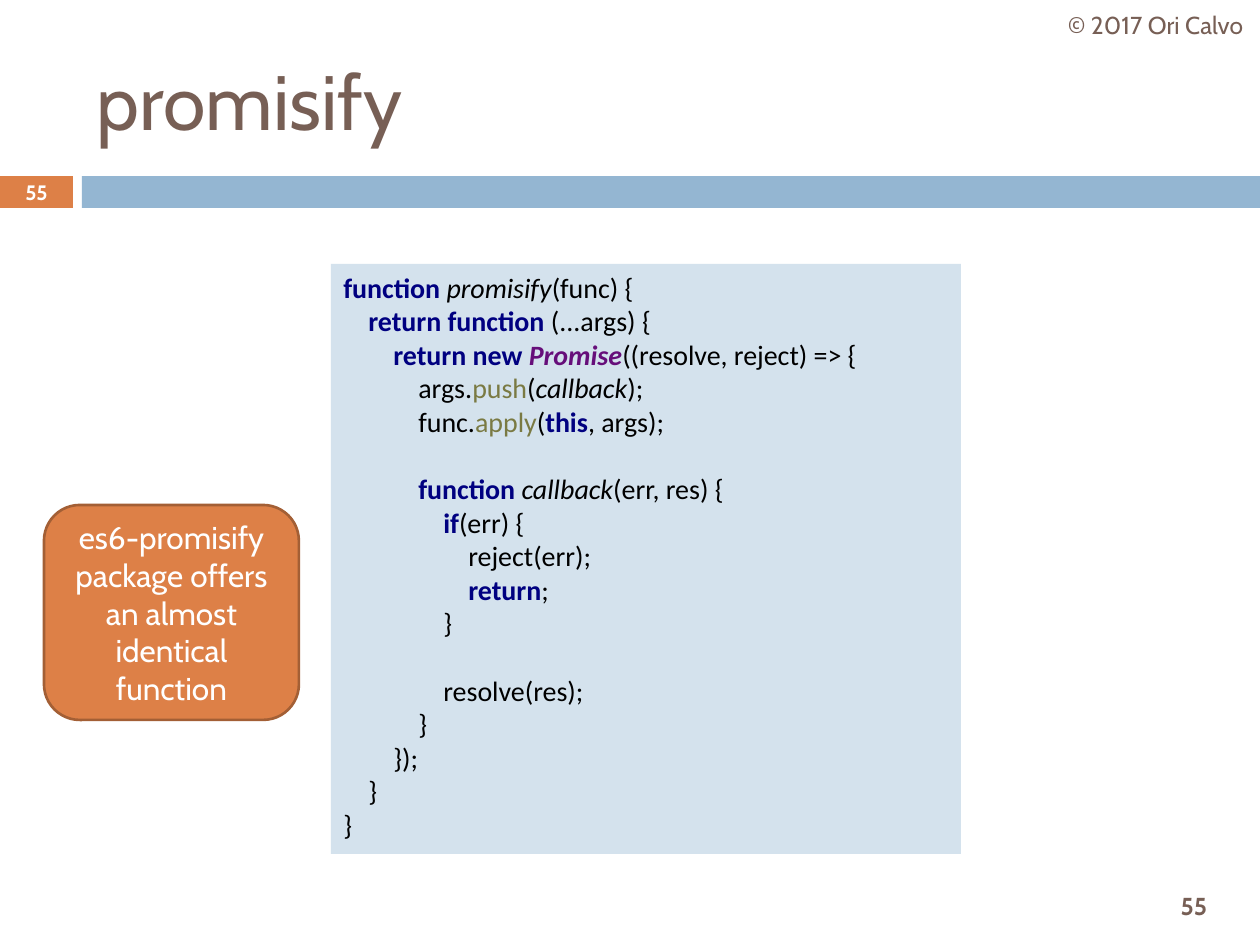
from pptx import Presentation
from pptx.dml.color import RGBColor
from pptx.enum.shapes import MSO_SHAPE
from pptx.enum.text import MSO_ANCHOR, PP_ALIGN
from pptx.util import Pt

PX = 914400 / 126
COLORS = {
    "brown": "775F55", "orange": "DD8047", "rust": "A35F35",
    "blue": "94B6D2", "pale": "D4E2ED", "white": "FFFFFF",
    "black": "000000", "navy": "000080", "purple": "660E7A",
    "olive": "7A7A43",
}
# Run marks in the code: color, bold, italic
MARKS = {
    "*": ("navy", True, False),
    "~": ("black", False, True),
    "^": ("purple", True, True),
    "%": ("olive", False, False),
}
STEP = 25  # one level of code indent
LINE = 19.2  # height of a code line in points
CODE = """\
*function |~promisify|(func) {
    *return function |(...args) {
        *return new |^Promise|((resolve, reject) => {
            args.|%push|(|~callback|);
            func.|%apply|(|*this|, args);

            *function |~callback|(err, res) {
                *if|(err) {
                    reject(err);
                    *return|;
                }

                resolve(res);
            }
        });
    }
}"""


def emu(px):
    return round(px * PX)


def rgb(name):
    return RGBColor.from_string(COLORS[name])


class Deck:
    def __init__(self, wide, high):
        self.prs = Presentation()
        self.prs.slide_width = emu(wide)
        self.prs.slide_height = emu(high)
        self.slide = self.prs.slides.add_slide(self.prs.slide_layouts[5])

    def style(self, par, size, color, bold=False, align=PP_ALIGN.CENTER, face="Cabin"):
        par.alignment = align
        font = par.font
        font.name, font.size, font.bold = face, Pt(size), bold
        font.color.rgb = rgb(color)

    def fill_text(self, shape, text, size, color, **opts):
        frame = shape.text_frame
        frame.word_wrap = True
        frame.vertical_anchor = MSO_ANCHOR.MIDDLE
        frame.text = text
        self.style(frame.paragraphs[0], size, color, **opts)

    def title(self, box, text):
        shape = self.slide.shapes.title
        shape.left, shape.top, shape.width, shape.height = map(emu, box)
        self.fill_text(shape, text, 44, "brown", align=PP_ALIGN.LEFT)

    def label(self, box, text, size, color, **opts):
        shape = self.slide.shapes.add_textbox(*map(emu, box))
        self.fill_text(shape, text, size, color, **opts)

    def block(self, box, fill, line=None, kind=MSO_SHAPE.RECTANGLE):
        shape = self.slide.shapes.add_shape(kind, *map(emu, box))
        shape.shadow.inherit = False
        shape.fill.solid()
        shape.fill.fore_color.rgb = rgb(fill)
        if line:
            shape.line.color.rgb = rgb(line)
            shape.line.width = Pt(1.5)
        else:
            shape.line.fill.background()
        return shape

    def code(self, box, text):
        frame = self.block(box, "pale").text_frame
        frame.word_wrap = True
        frame.vertical_anchor = MSO_ANCHOR.TOP
        par, gap = frame.paragraphs[0], 0
        for row in text.splitlines():
            if not row:
                gap += LINE
                continue
            if par.runs:
                par = frame.add_paragraph()
            self.style(par, 16, "black", align=PP_ALIGN.LEFT, face="Calibri")
            par.space_before, gap = Pt(gap), 0
            bare = row.lstrip()
            depth = (len(row) - len(bare)) // 4
            props = par._p.get_or_add_pPr()
            props.set("marL", str(emu(depth * STEP)))
            props.set("indent", "0")
            for part in bare.split("|"):
                run = par.add_run()
                mark = MARKS.get(part[0])
                run.text = part[1:] if mark else part
                if mark:
                    color, run.font.bold, run.font.italic = mark
                    run.font.color.rgb = rgb(color)


def main():
    deck = Deck(1260, 945)

    # Header band and page numbers
    deck.block((0, 176, 73, 32), "orange")
    deck.block((82, 176, 1178, 32), "blue")
    deck.label((1136, 879, 116, 53), "55", 14, "brown", bold=True)
    deck.label((0, 175, 73, 34), "55", 11.9, "white", bold=True)

    # Title and credit
    deck.title((84, 32, 1124, 136), "promisify")
    deck.label((1051, 0, 209, 50), "© 2017 Ori Calvo", 14, "brown")

    # Code listing
    deck.code((331, 264, 630, 590), CODE)

    # Side note
    note = deck.block((44, 505, 255, 215), "orange", "rust", MSO_SHAPE.ROUNDED_RECTANGLE)
    deck.fill_text(note, "es6-promisify package offers an almost identical function", 18, "white")

    deck.prs.save("out.pptx")


if __name__ == "__main__":
    main()
